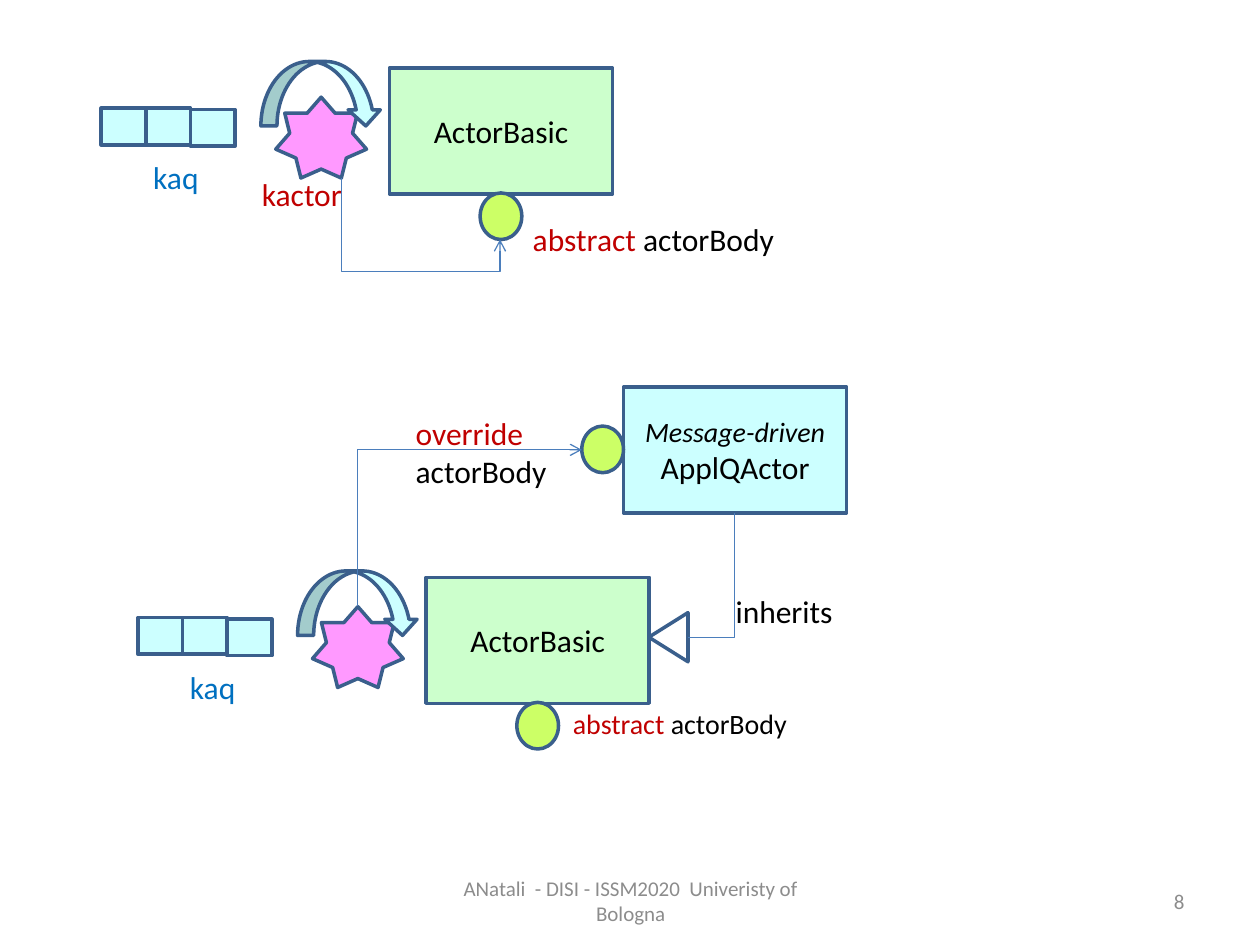
import pptx
import pptx.util
import pptx.dml.color
import pptx.enum.shapes
import pptx.enum.text
import pptx.oxml.ns
import lxml.etree

Cm = pptx.util.Cm
SHAPE = pptx.enum.shapes.MSO_SHAPE
ALIGN = pptx.enum.text.PP_ALIGN
ANCHOR = pptx.enum.text.MSO_ANCHOR

COLORS = {
    "outline": "3A5F8C", "link": "4B7EBC", "pink": "FF99FF", "green": "CCFFCC",
    "cyan": "CCFFFF", "lime": "CCFF66", "white": "FFFFFF", "black": "000000",
    "red": "C00000", "blue": "0070C0", "gray": "8C8C8C",
}

# All positions are in centimetres.
CLASS_SIZE = (4.5, 2.54)
BODY_SIZE = (0.84, 0.94)
ACTOR_OFFSETS = [(0, 0), (0.74, 10.27)]
QUEUE = {"left": 2.04, "tops": (2.18, 2.18, 2.21), "cell": (0.9, 0.74)}
ACTOR_PARTS = [
    (SHAPE.STAR_7_POINT, (5.56, 1.96, 1.83, 1.63), "pink", []),
    (SHAPE.RECTANGLE, (7.85, 1.37, *CLASS_SIZE), "green", [[("ActorBasic", {})]]),
    (SHAPE.CURVED_DOWN_ARROW, (5.26, 1.24, 2.44, 1.3), "cyan", []),
    (SHAPE.OVAL, (9.68, 3.89, *BODY_SIZE), "lime", []),
]
KAQ_BOX = (2.84, 3.07, 1.45, 1.02)

APPLICATION = [[("Message-driven", {"size": 16, "italic": True})], [("ApplQActor", {})]]
ABSTRACT_BODY = [[("abstract ", {"color": "red"}), ("actorBody", {})]]
LABELS = [
    ((10.49, 4.32, 5.41, 1.02), ABSTRACT_BODY, 18),
    ((11.3, 14.12, 4.88, 0.94), ABSTRACT_BODY, 16),
    ((8.13, 8.23, 3.18, 1.8), [[("override", {"color": "red"})], [("actorBody", {})]], 18),
    ((14.58, 11.81, 2.49, 1.02), [[("inherits", {})]], 18),
    ((5.03, 3.4, 2.18, 1.02), [[("kactor", {"color": "red"})]], 18),
]
FOOTERS = [
    ((8.69, 17.65, 8.05, 1.02), "ANatali  - DISI - ISSM2020  Univeristy of Bologna", ALIGN.CENTER),
    ((18.21, 17.65, 5.92, 1.02), "8", ALIGN.RIGHT),
]
LINKS = [
    {"start": (6.88, 3.58), "end": (10.08, 4.83), "turn": 270,
     "preset": "bentConnector3", "bend": 151200, "arrow": True},
    {"start": (7.21, 12.22), "end": (11.73, 9.07), "turn": 90, "arrow": True},
    {"start": (14.81, 10.34), "end": (13.87, 12.85), "turn": 90},
]


def rgb(name):
    return pptx.dml.color.RGBColor.from_string(COLORS[name])


def write(frame, paragraphs, size=18, color="black", align=ALIGN.LEFT,
          anchor=ANCHOR.TOP, wrap=True):
    """Fill a frame with paragraphs of (text, overrides) runs."""
    frame.word_wrap = wrap
    frame.vertical_anchor = anchor
    for index, runs in enumerate(paragraphs):
        paragraph = frame.paragraphs[0] if index == 0 else frame.add_paragraph()
        paragraph.alignment = align
        for text, style in runs:
            run = paragraph.add_run()
            run.text = text
            run.font.name = "Calibri"
            run.font.size = pptx.util.Pt(style.get("size", size))
            run.font.italic = style.get("italic", False)
            run.font.color.rgb = rgb(style.get("color", color))


def add_part(slide, preset, box, fill, paragraphs=()):
    part = slide.shapes.add_shape(preset, *map(Cm, box))
    part.shadow.inherit = False
    part.fill.solid()
    part.fill.fore_color.rgb = rgb(fill)
    part.line.color.rgb = rgb("outline")
    part.line.width = pptx.util.Pt(2)
    write(part.text_frame, paragraphs, align=ALIGN.CENTER, anchor=ANCHOR.MIDDLE)
    return part


def add_label(slide, box, paragraphs, **style):
    label = slide.shapes.add_textbox(*map(Cm, box))
    write(label.text_frame, paragraphs, **style)


def add_link(slide, start, end, turn, preset="bentConnector2", bend=None, arrow=False):
    """Draw an elbow that leaves vertically: a quarter-turned connector."""
    qn = pptx.oxml.ns.qn
    dx, dy = end[0] - start[0], end[1] - start[1]
    middle_x, middle_y = start[0] + dx / 2, start[1] + dy / 2
    width, height = (dy, -dx) if turn == 90 else (-dy, dx)
    link = slide.shapes.add_connector(
        pptx.enum.shapes.MSO_CONNECTOR.ELBOW,
        Cm(middle_x - width / 2), Cm(middle_y - height / 2),
        Cm(middle_x + width / 2), Cm(middle_y + height / 2))
    link.line.color.rgb = rgb("link")
    link.line.width = pptx.util.Pt(0.75)
    properties = link._element.spPr
    properties.find(qn("a:xfrm")).set("rot", str(turn * 60000))
    geometry = properties.find(qn("a:prstGeom"))
    geometry.set("prst", preset)
    if bend is not None:
        lxml.etree.SubElement(geometry.find(qn("a:avLst")), qn("a:gd"),
                              name="adj1", fmla=f"val {bend}")
    if arrow:
        lxml.etree.SubElement(properties.find(qn("a:ln")), qn("a:tailEnd"), type="arrow")
    lxml.etree.SubElement(properties, qn("a:effectLst"))


def add_actor(slide, offset):
    def moved(box):
        return (box[0] + offset[0], box[1] + offset[1], *box[2:])

    for preset, box, fill, paragraphs in ACTOR_PARTS:
        add_part(slide, preset, moved(box), fill, paragraphs)
    for index, top in enumerate(QUEUE["tops"]):
        left = QUEUE["left"] + index * QUEUE["cell"][0]
        add_part(slide, SHAPE.RECTANGLE, moved((left, top, *QUEUE["cell"])), "cyan")
    add_label(slide, moved(KAQ_BOX), [[("kaq", {})]], color="blue", wrap=False)


def main():
    deck = pptx.Presentation()
    deck.slide_width, deck.slide_height = Cm(25.4), Cm(19.05)
    slide = deck.slides.add_slide(deck.slide_layouts[6])

    for box, text, align in FOOTERS:
        add_label(slide, box, [[(text, {})]], size=12, color="gray",
                  align=align, anchor=ANCHOR.MIDDLE)
    for offset in ACTOR_OFFSETS:
        add_actor(slide, offset)
    add_part(slide, SHAPE.RECTANGLE, (12.57, 7.8, *CLASS_SIZE), "cyan", APPLICATION)
    add_part(slide, SHAPE.OVAL, (11.73, 8.59, *BODY_SIZE), "lime")
    inheritance = add_part(slide, SHAPE.ISOSCELES_TRIANGLE, (12.98, 12.45, 0.99, 0.79), "white")
    inheritance.rotation = 270
    for link in LINKS:
        add_link(slide, **link)
    for box, paragraphs, size in LABELS:
        add_label(slide, box, paragraphs, size=size, wrap=False)

    deck.save("out.pptx")


if __name__ == "__main__":
    main()
